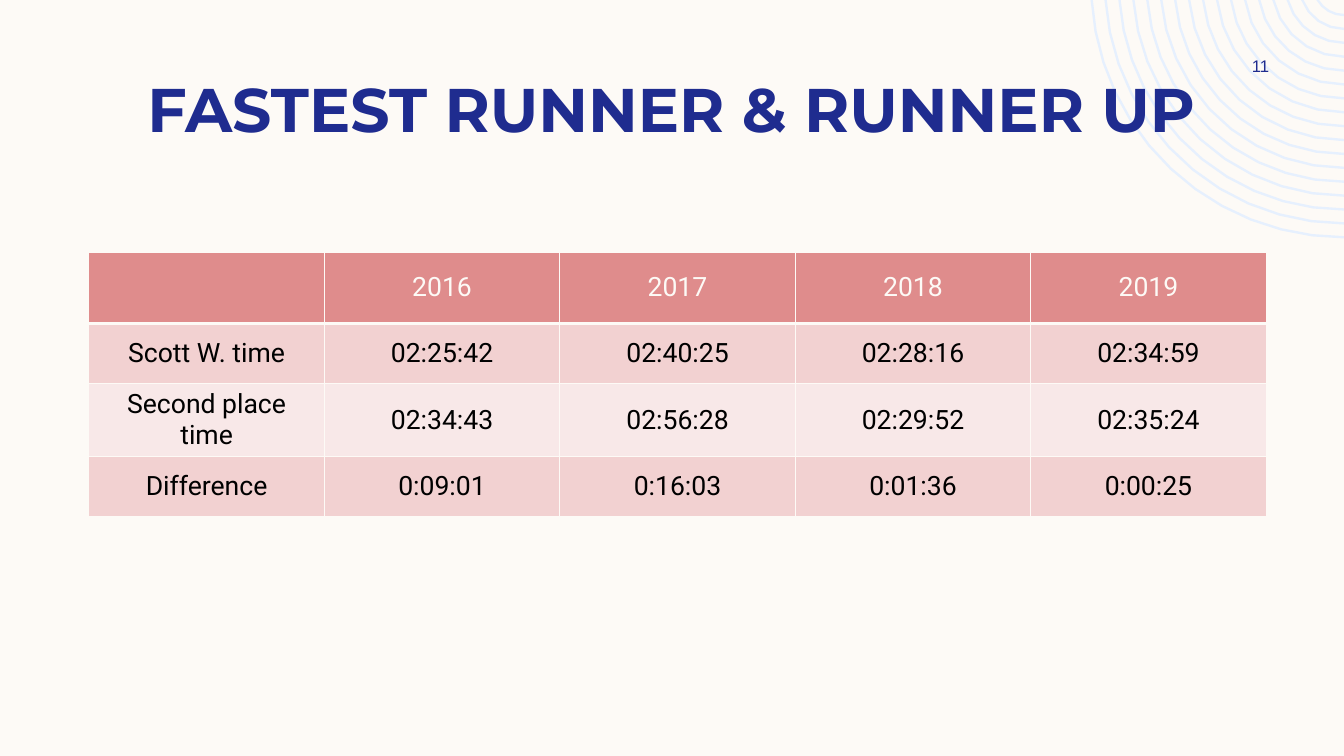
from math import asin, cos, pi, sin

from lxml.etree import SubElement
from pptx import Presentation
from pptx.dml.color import RGBColor
from pptx.enum.text import MSO_ANCHOR, PP_ALIGN
from pptx.oxml.ns import qn
from pptx.util import Cm, Pt

WIDTH, HEIGHT = 33.87, 19.05

RESULTS = [
    ["", "2016", "2017", "2018", "2019"],
    ["Scott W. time", "02:25:42", "02:40:25", "02:28:16", "02:34:59"],
    ["Second place time", "02:34:43", "02:56:28", "02:29:52", "02:35:24"],
    ["Difference", "0:09:01", "0:16:03", "0:01:36", "0:00:25"],
]


def paint(fill, color):
    fill.solid()
    fill.fore_color.rgb = RGBColor.from_string(color)


def write(frame, text, size=19, font="Roboto", color="000000", bold=False):
    frame.word_wrap = True
    para = frame.paragraphs[0]
    para.alignment = PP_ALIGN.CENTER
    para.font.size = Pt(size)
    if text:
        span = para.add_run()
        span.text = text
        span.font.size = Pt(size)
        span.font.name = font
        span.font.bold = bold
        span.font.color.rgb = RGBColor.from_string(color)


class RaceSlide:
    cream = "FDFAF6"
    navy = "1F2C8F"
    ice = "E6F0FE"
    header = "DF8C8C"
    bands = ("F2D1D1", "F8E8E8")

    def __init__(self, deck):
        self.page = deck.slides.add_slide(deck.slide_layouts[5])
        paint(self.page.background.fill, self.cream)

    def place(self, shape, left, top, width, height):
        shape.left, shape.top = Cm(left), Cm(top)
        shape.width, shape.height = Cm(width), Cm(height)

    def title(self, text, *area):
        box = self.page.shapes.title
        self.place(box, *area)
        box.text_frame.vertical_anchor = MSO_ANCHOR.MIDDLE
        write(box.text_frame, text, size=44, font="Montserrat",
              color=self.navy, bold=True)

    def page_number(self, text, *area):
        box = self.page.shapes.add_textbox(*map(Cm, area))
        box.text_frame.vertical_anchor = MSO_ANCHOR.MIDDLE
        write(box.text_frame, text, size=12, font="Arial", color=self.navy)

    def rings(self, count, smallest, step, thickness, rise):
        def arc(radius, segments):
            start = asin(rise / radius)
            angles = [start + (pi / 2 - start) * i / segments
                      for i in range(segments + 1)]
            return [(Cm(WIDTH - radius * cos(angle)),
                     Cm(radius * sin(angle) - rise)) for angle in angles]

        builder = None
        for index in range(count):
            radius = smallest + index * step
            segments = 4 + index // 2
            outline = (arc(radius, segments)
                       + arc(radius - thickness, segments)[::-1])
            if builder is None:
                builder = self.page.shapes.build_freeform(*outline[0])
            else:
                builder.move_to(*outline[0])
            builder.add_line_segments(outline[1:], close=True)
        shape = builder.convert_to_shape()
        shape.shadow.inherit = False
        paint(shape.fill, self.ice)
        shape.line.fill.background()
        self.page.shapes.title._element.addprevious(shape._element)

    def borders(self, cell, **widths):
        properties = cell._tc.get_or_add_tcPr()
        for index, side in enumerate("LRTB"):
            line = SubElement(properties, qn(f"a:ln{side}"),
                              w=str(int(Pt(widths.get(side, 1)))))
            fill = SubElement(line, qn("a:solidFill"))
            SubElement(fill, qn("a:srgbClr"), val=self.cream)
            properties.insert(index, line)

    def table(self, rows, left, top, width, heights):
        area = map(Cm, (left, top, width, sum(heights)))
        table = self.page.shapes.add_table(len(rows), len(rows[0]), *area).table
        for column in table.columns:
            column.width = Cm(width / len(rows[0]))
        for r, values in enumerate(rows):
            table.rows[r].height = Cm(heights[r])
            for c, text in enumerate(values):
                cell = table.cell(r, c)
                cell.vertical_anchor = MSO_ANCHOR.MIDDLE
                cell.margin_left = cell.margin_right = Cm(0.28)
                cell.margin_top = cell.margin_bottom = Cm(0.13)
                paint(cell.fill, self.bands[(r - 1) % 2] if r else self.header)
                self.borders(cell, T=3 if r == 1 else 1, B=1 if r else 3)
                write(cell.text_frame, text,
                      color="000000" if r else self.cream)


def main():
    deck = Presentation()
    deck.slide_width, deck.slide_height = Cm(WIDTH), Cm(HEIGHT)
    slide = RaceSlide(deck)
    slide.rings(count=17, smallest=0.8, step=0.35, thickness=0.06, rise=0.39)
    slide.title("FASTEST RUNNER & RUNNER UP", 2.11, 1.65, 29.64, 2.13)
    slide.table(RESULTS, 2.24, 6.35, 29.67, [1.8, 1.52, 1.52, 1.52])
    slide.page_number("11", 30.4, 1.27, 2.74, 0.76)
    deck.save("out.pptx")


if __name__ == "__main__":
    main()
